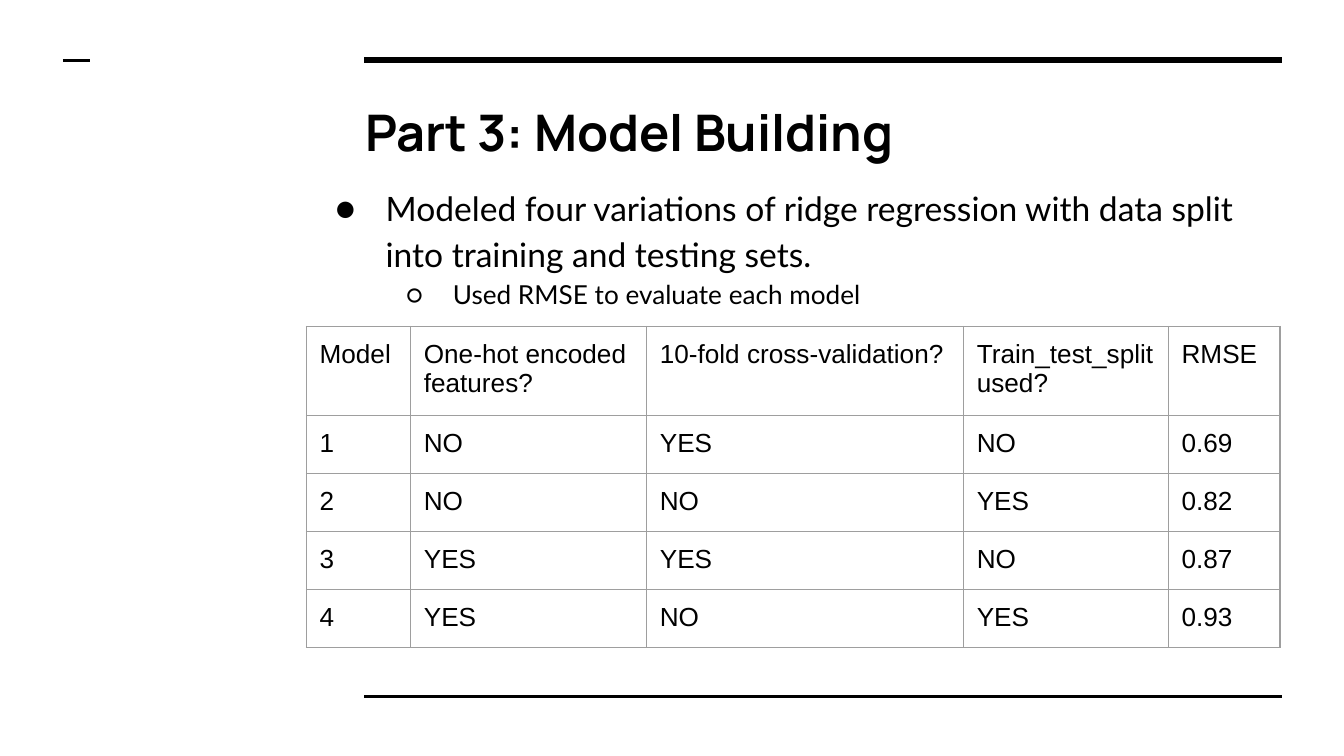
import pptx
import pptx.util
import pptx.dml.color
import pptx.enum.shapes
import pptx.enum.text
import pptx.oxml
import pptx.oxml.ns
import lxml.etree

Cm = pptx.util.Cm
Pt = pptx.util.Pt
BLACK = pptx.dml.color.RGBColor(0x00, 0x00, 0x00)
GREY = pptx.dml.color.RGBColor(0x9E, 0x9E, 0x9E)
PADDING = Cm(0.25)
NAMESPACE = pptx.oxml.ns.nsdecls("a")


def write(para, text, formats):
    span = para.add_run()
    span.text = text
    span.font.color.rgb = BLACK
    for name, value in formats.items():
        setattr(span.font, name, value)


def add_box(left, top, width, height, anchor):
    box = page.shapes.add_textbox(Cm(left), Cm(top), Cm(width), Cm(height))
    settings = {
        "word_wrap": True,
        "vertical_anchor": anchor,
        "margin_left": PADDING,
        "margin_right": PADDING,
        "margin_top": PADDING,
        "margin_bottom": PADDING,
    }
    for name, value in settings.items():
        setattr(box.text_frame, name, value)
    return box.text_frame


deck = pptx.Presentation()
deck.slide_width = Cm(25.4)
deck.slide_height = Cm(14.29)
page = deck.slides.add_slide(deck.slide_layouts[6])

rules = [(6.88, 24.23, 1.14, 3), (6.88, 24.23, 13.16, 1.5), (1.19, 1.7, 1.14, 1.5)]
for start, end, height, weight in rules:
    rule = page.shapes.add_connector(
        pptx.enum.shapes.MSO_CONNECTOR.STRAIGHT, Cm(start), Cm(height), Cm(end), Cm(height)
    )
    rule.line.color.rgb = BLACK
    rule.line.width = Pt(weight)
    lxml.etree.SubElement(rule._element.spPr, pptx.oxml.ns.qn("a:effectLst"))

title = add_box(6.65, 1.6, 17.55, 1.75, pptx.enum.text.MSO_ANCHOR.MIDDLE)
title_format = {"name": "Manrope", "size": Pt(27), "bold": True}
write(title.paragraphs[0], "Part 3: Model Building", title_format)

body = add_box(5.77, 3.18, 18.49, 8.05, pptx.enum.text.MSO_ANCHOR.TOP)
points = [
    ("Modeled four variations of ridge regression with data split into training and testing sets.",
     "●", 18, 1.27, -0.95),
    ("Used RMSE to evaluate each model", "○", 14, 2.54, -0.89),
]
for level, (text, bullet, size, margin, indent) in enumerate(points):
    para = body.paragraphs[0] if level == 0 else body.add_paragraph()
    para.level = level
    para.line_spacing = 1.15
    properties = para._p.get_or_add_pPr()
    properties.set("marL", str(Cm(margin)))
    properties.set("indent", str(Cm(indent)))
    for markup in (
        f'<a:buClr {NAMESPACE}><a:srgbClr val="{BLACK}"/></a:buClr>',
        f'<a:buFont {NAMESPACE} typeface="Lato"/>',
        f'<a:buChar {NAMESPACE} char="{bullet}"/>',
    ):
        properties.append(pptx.oxml.parse_xml(markup))
    write(para, text, {"name": "Lato", "size": Pt(size)})

results = [
    ("Model", "One-hot encoded features?", "10-fold cross-validation?",
     "Train_test_split used?", "RMSE"),
    ("1", "NO", "YES", "NO", "0.69"),
    ("2", "NO", "NO", "YES", "0.82"),
    ("3", "YES", "YES", "NO", "0.87"),
    ("4", "YES", "NO", "YES", "0.93"),
]
widths = [1.97, 4.46, 5.99, 3.87, 2.11]
heights = [1.63] + [1.06] * 4
table = page.shapes.add_table(
    len(results), len(widths), Cm(5.79), Cm(6.17), Cm(sum(widths)), Cm(sum(heights))
).table
table.first_row = False
table.horz_banding = False
for column, width in zip(table.columns, widths):
    column.width = Cm(width)
for row, height, values in zip(table.rows, heights, results):
    row.height = Cm(height)
    for cell, value in zip(row.cells, values):
        for side in ("left", "right", "top", "bottom"):
            setattr(cell, f"margin_{side}", PADDING)
            cell._tc.get_or_add_tcPr().append(pptx.oxml.parse_xml(
                f'<a:ln{side[0].upper()} {NAMESPACE} w="{Pt(0.75)}"><a:solidFill>'
                f'<a:srgbClr val="{GREY}"/></a:solidFill></a:ln{side[0].upper()}>'
            ))
        cell.fill.background()
        write(cell.text_frame.paragraphs[0], value, {"name": "Arial", "size": Pt(14)})

deck.save("out.pptx")
